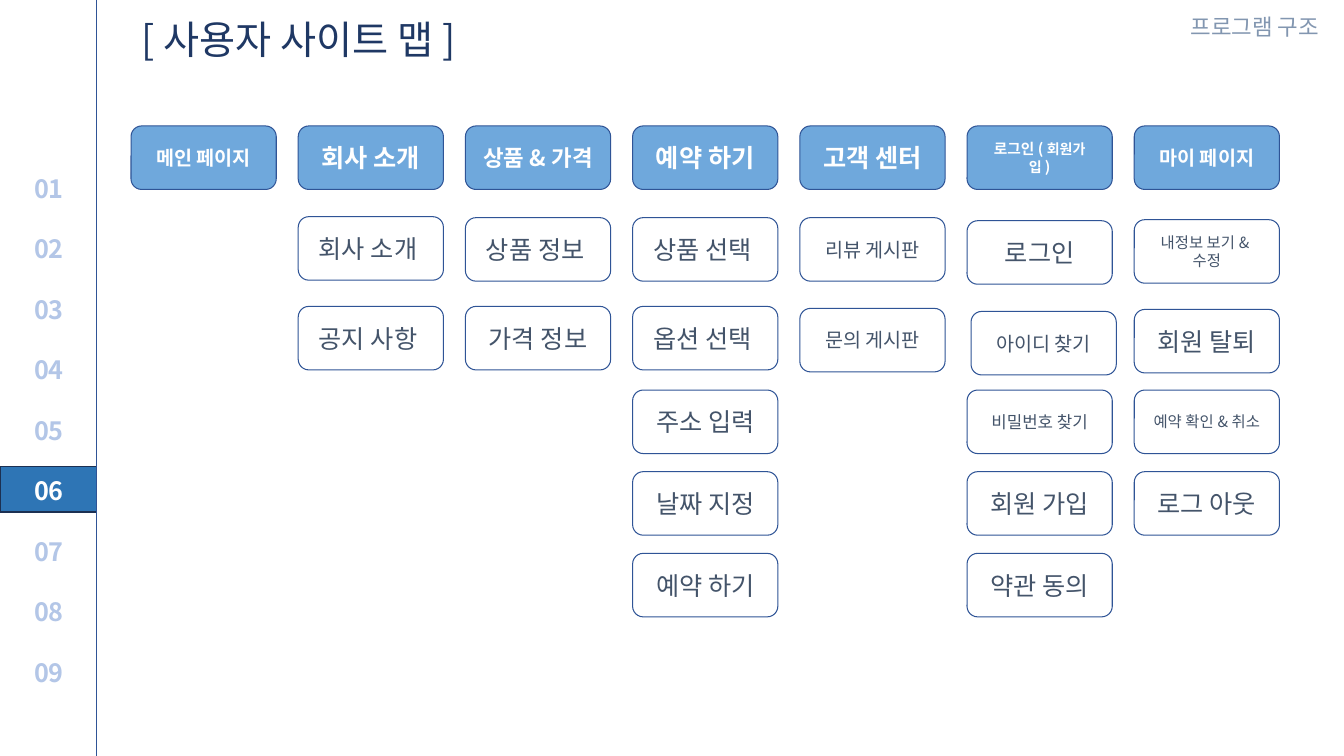
from lxml import etree
from pptx import Presentation
from pptx import util as u
from pptx.dml.color import RGBColor
from pptx.enum import shapes, text
from pptx.oxml import ns

FONT = "Noto Sans CJK KR"
NAVY, SLATE, WHITE, SKY = "2F5496", "44546A", "FFFFFF", "6FA8DC"


def rgb(value):
    return RGBColor.from_string(value)


def add_text(p, content, size=18, color=SLATE, bold=False, align=text.PP_ALIGN.LEFT):
    p.alignment = align
    p.line_spacing = u.Pt(size * 1.2)
    r = p.add_run()
    r.text = content
    r.font.size = u.Pt(size)
    r.font.bold = bold
    r.font.color.rgb = rgb(color)
    r.font.name = FONT
    ea = etree.SubElement(r.font._element, ns.qn("a:ea"))
    ea.set("typeface", FONT)


prs = Presentation()
prs.slide_width, prs.slide_height = u.Inches(13.33), u.Inches(7.5)
s = prs.slides.add_slide(prs.slide_layouts[5])

title = s.shapes.title
title.left, title.top = u.Inches(1.3), u.Inches(0.1)
title.width, title.height = u.Inches(3.47), u.Inches(1.1)
tf = title.text_frame
tf.auto_size = text.MSO_AUTO_SIZE.NONE
tf.vertical_anchor = text.MSO_ANCHOR.TOP
add_text(tf.paragraphs[0], "[사용자 사이트 맵]", size=28, color="1F3864")

marker = s.shapes.add_shape(shapes.MSO_SHAPE.RECTANGLE, 0, u.Inches(4.63), u.Inches(0.96), u.Inches(0.45))
marker.shadow.inherit = False
marker.fill.solid()
marker.fill.fore_color.rgb = rgb("2E75B5")
marker.line.color.rgb = rgb("1C3052")
marker.line.width = u.Pt(1)

rule = s.shapes.add_connector(shapes.MSO_CONNECTOR.STRAIGHT, u.Inches(0.96), 0, u.Inches(0.96), u.Inches(7.5))
rule.line.color.rgb = rgb(NAVY)
rule.line.width = u.Pt(0.75)
etree.SubElement(rule._element.spPr, ns.qn("a:effectLst"))

nav = s.shapes.add_textbox(u.Inches(0.24), u.Inches(1.67), u.Inches(0.63), u.Inches(5.2))
tf = nav.text_frame
tf.word_wrap = True
for number in range(1, 10):
    p = tf.paragraphs[0] if number == 1 else tf.add_paragraph()
    add_text(p, f"{number:02}", color=WHITE if number == 6 else "B3C6E7", bold=True)
    if number > 1:
        p.space_before = u.Pt(21.6)

section = s.shapes.add_textbox(u.Inches(11.71), u.Inches(0.08), u.Inches(1.63), u.Inches(0.37))
section.text_frame.word_wrap = True
add_text(section.text_frame.paragraphs[0], "프로그램 구조", size=16, color="8296B0")

LEFT, TOP, WIDTH, HEIGHT = 1.3, 1.25, 1.44, 0.63
PITCH = (11.25 - LEFT) / 6
LOWER_ROWS = [3.87, 4.68, 5.49]
columns = [
    ([("메인 페이지", 14)], [], []),
    ([("회사 소개", 18)], [2.15, 3.04], [("회사 소개 ", 18), ("공지 사항 ", 18)]),
    ([("상품&가격", 16)], [2.16, 3.04], [("상품 정보 ", 18), ("가격 정보", 18)]),
    ([("예약 하기", 18)], [2.16, 3.04],
     [("상품 선택 ", 18), ("옵션 선택 ", 18), ("주소 입력", 18), ("날짜 지정", 18), ("예약 하기", 18)]),
    ([("고객 센터", 18)], [2.16, 3.06], [("리뷰 게시판", 14), ("문의 게시판", 14)]),
    ([("로그인(", 10.5), ("회원가입", 10), (")", 10.5)], [2.19, 3.09],
     [("로그인", 18), ("아이디 찾기", 14), ("비밀번호 찾기", 12), ("회원 가입", 18), ("약관 동의", 18)]),
    ([("마이 페이지", 14)], [2.18, 3.07],
     [("내정보 보기&수정", 11), ("회원 탈퇴", 18), ("예약 확인&취소", 11), ("로그 아웃", 18)]),
]

for i, (header, upper_rows, pages) in enumerate(columns):
    boxes = [(TOP, header)] + [(y, [page]) for y, page in zip(upper_rows + LOWER_ROWS, pages)]
    for y, runs in boxes:
        is_header = y == TOP
        x = LEFT + i * PITCH + (0.04 if runs[0][0] == "아이디 찾기" else 0)
        sp = s.shapes.add_shape(shapes.MSO_SHAPE.ROUNDED_RECTANGLE,
                                u.Inches(x), u.Inches(y), u.Inches(WIDTH), u.Inches(HEIGHT))
        sp.shadow.inherit = False
        sp.fill.solid()
        sp.fill.fore_color.rgb = rgb(SKY if is_header else WHITE)
        sp.line.color.rgb = rgb(NAVY)
        sp.line.width = u.Pt(0.75)
        tf = sp.text_frame
        tf.word_wrap = True
        tf.vertical_anchor = text.MSO_ANCHOR.MIDDLE
        tf.margin_left = tf.margin_right = tf.margin_top = tf.margin_bottom = u.Inches(0.13)
        for content, size in runs:
            add_text(tf.paragraphs[0], content, size=size, color=WHITE if is_header else SLATE,
                     bold=is_header, align=text.PP_ALIGN.CENTER)

prs.save("out.pptx")
